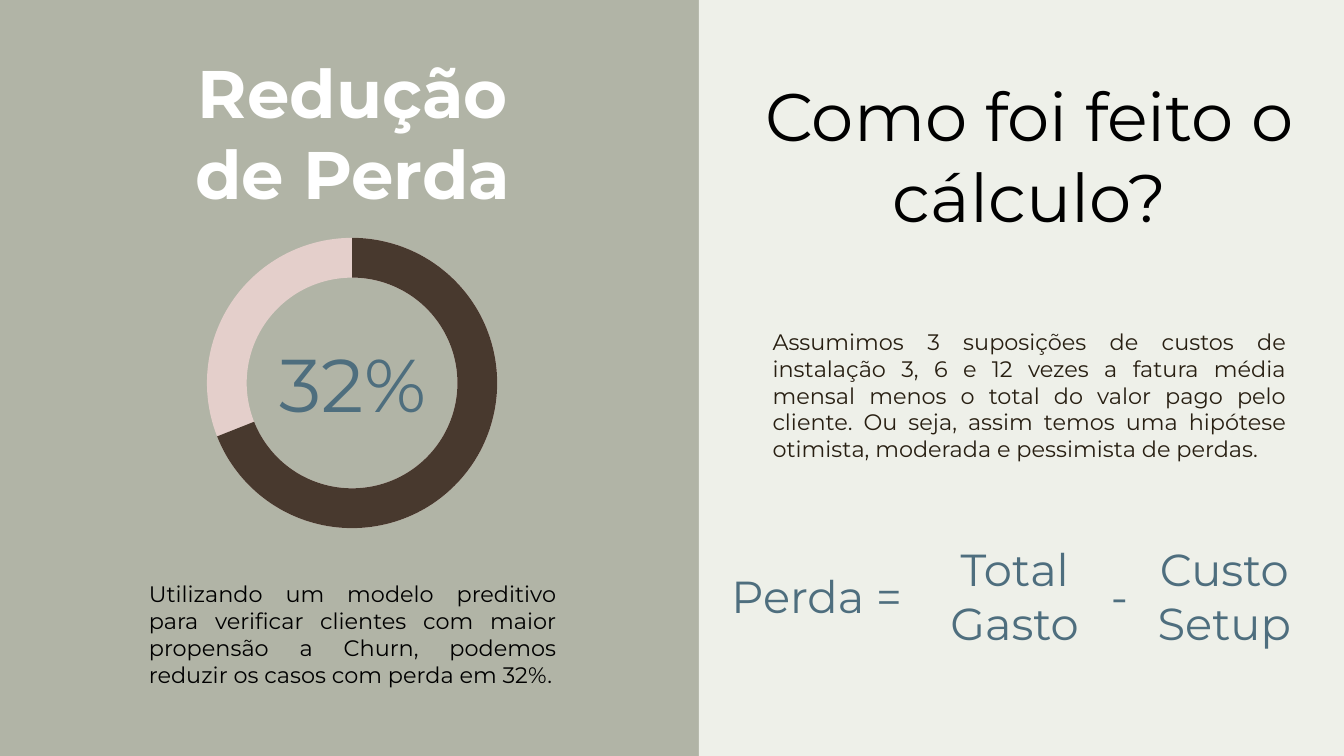
from pptx import Presentation
from pptx.dml.color import RGBColor
from pptx.enum import shapes, text
from pptx.util import Inches, Pt

FONT = "Montserrat"
COLORS = {
    "sage": "B1B4A6",
    "cream": "EEF0E9",
    "pink": "E4CFCB",
    "brown": "48392E",
    "blue": "4E6E7E",
    "dark": "281F12",
    "black": "000000",
    "white": "FFFFFF",
}
MID = text.PP_ALIGN.CENTER
EVEN = text.PP_ALIGN.JUSTIFY
WIDE = Inches(10)
HIGH = WIDE * 9 // 16
RING = [Inches(n) for n in (1.54, 1.77, 2.16, 2.16)]
BAND = 0.137  # ring thickness as a share of its size
SHARE = 0.69  # dark part of the ring


def rgb(name):
    return RGBColor.from_string(COLORS[name])


def add_form(slide, kind, box, color, adjs=()):
    """Add a filled preset shape without outline."""
    form = slide.shapes.add_shape(kind, *box)
    for i, value in enumerate(adjs):
        form.adjustments[i] = value
    form.shadow.inherit = False
    form.fill.solid()
    form.fill.fore_color.rgb = rgb(color)
    form.line.fill.background()


def add_text(slide, box, lines, size, color, align=MID, bold=False):
    """Add one paragraph per line; centred text also sits mid-height."""
    frame = slide.shapes.add_textbox(*map(Inches, box)).text_frame
    frame.word_wrap = True
    frame.margin_left = frame.margin_right = Inches(0.1)
    frame.margin_top = frame.margin_bottom = Inches(0.1)
    anchor = text.MSO_ANCHOR
    frame.vertical_anchor = anchor.MIDDLE if align == MID else anchor.TOP
    for i, line in enumerate(lines):
        para = frame.add_paragraph() if i else frame.paragraphs[0]
        para.alignment = align
        run = para.add_run()
        run.text = line
        run.font.name = FONT
        run.font.size = Pt(size)
        run.font.bold = bold
        run.font.color.rgb = rgb(color)


def add_ring(slide):
    """Draw the ring with its dark arc running clockwise from the top."""
    kind = shapes.MSO_SHAPE
    add_form(slide, kind.DONUT, RING, "pink", [BAND])
    start = 270
    end = (start + 360 * SHARE) % 360
    unit = 0.6  # one degree in adjustment units
    adjs = [start * unit, end * unit, BAND]
    add_form(slide, kind.BLOCK_ARC, RING, "brown", adjs)


def add_sum(slide):
    """Write the formula, one box per term."""
    terms = [
        (5.3, 1.64, ["Perda = "]),
        (6.73, 1.64, ["Total", "Gasto"]),
        (8.16, 0.34, ["-"]),
        (8.29, 1.64, ["Custo", "Setup"]),
    ]
    for left, width, lines in terms:
        add_text(slide, (left, 4.13, width, 0.6), lines, 24, "blue")


def main():
    deck = Presentation()
    deck.slide_width = WIDE
    deck.slide_height = HIGH
    slide = deck.slides.add_slide(deck.slide_layouts[6])
    slide.background.fill.solid()
    slide.background.fill.fore_color.rgb = rgb("sage")
    left = Inches(5.2)
    add_form(slide, shapes.MSO_SHAPE.RECTANGLE,
             (left, 0, WIDE - left, HIGH), "cream")

    add_text(slide, (1.29, 0.37, 2.67, 1.23), ["Redução de Perda"],
             36, "white", bold=True)
    add_ring(slide)
    add_text(slide, (1.38, 2.55, 2.49, 0.6), ["32%"], 40, "blue")
    add_text(slide, (1.01, 4.22, 3.23, 0.59), [
        "Utilizando um modelo preditivo para verificar clientes com maior "
        "propensão a Churn, podemos reduzir os casos com perda em 32%."
    ], 12, "black", EVEN)

    add_text(slide, (5.54, 0.54, 4.24, 1.23), ["Como foi feito o cálculo?"],
             36, "black")
    add_text(slide, (5.65, 2.34, 4.02, 1.23), [
        "Assumimos 3 suposições de custos de instalação 3, 6 e 12 vezes a "
        "fatura média mensal menos o total do valor pago pelo cliente. Ou "
        "seja, assim temos uma hipótese otimista, moderada e pessimista de "
        "perdas."
    ], 12, "dark", EVEN)
    add_sum(slide)
    deck.save("out.pptx")


if __name__ == "__main__":
    main()
